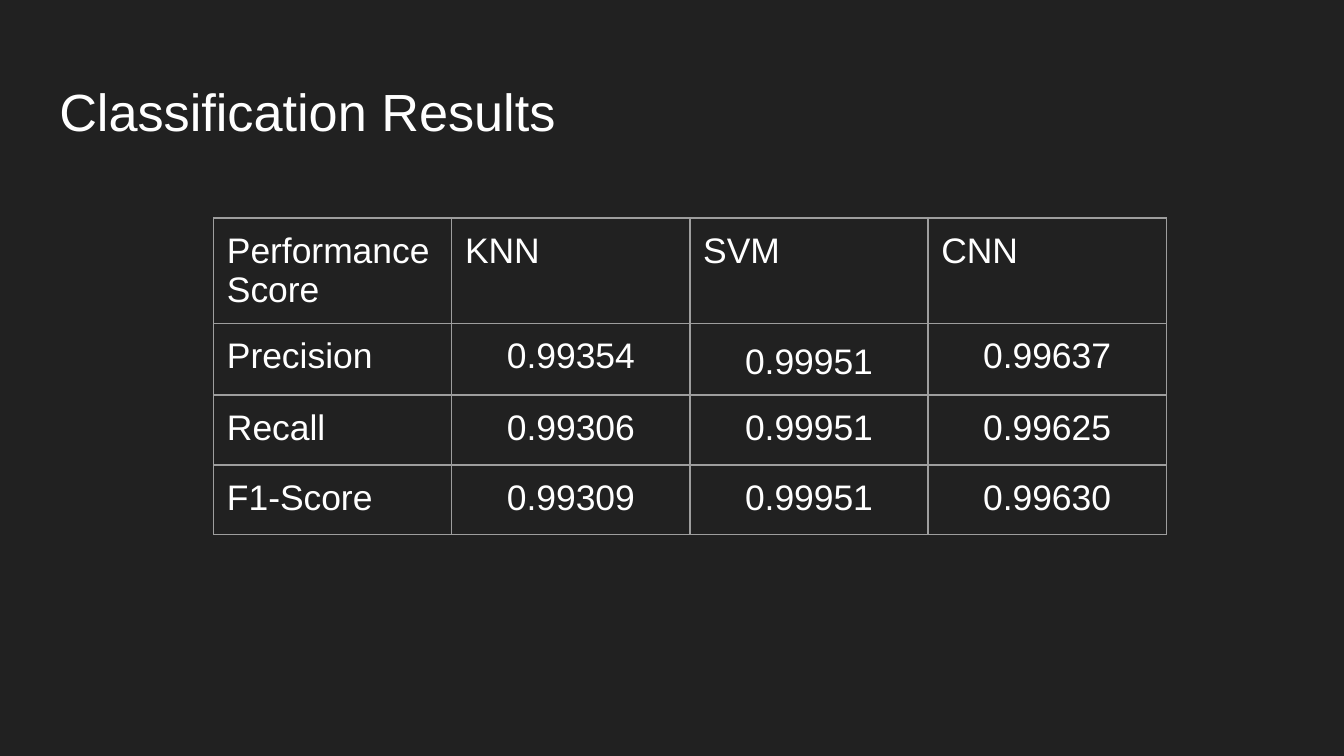
from dataclasses import dataclass

from lxml import etree
from pptx import Presentation
from pptx.dml.color import RGBColor
from pptx.enum.text import MSO_ANCHOR, MSO_AUTO_SIZE, PP_ALIGN
from pptx.oxml.ns import qn
from pptx.util import Cm, Pt

LEFT, CENTER = PP_ALIGN.LEFT, PP_ALIGN.CENTER
TOP = MSO_ANCHOR.TOP
NO_AUTOFIT = MSO_AUTO_SIZE.NONE
TITLE_ONLY = 5


@dataclass(frozen=True)
class Theme:
    background: str = "212121"
    text: str = "FFFFFF"
    border: str = "9E9E9E"
    font: str = "Arial"
    title_size: float = 28
    table_size: float = 19
    border_width: float = 0.75
    inset: float = 0.25


THEME = Theme()
SCORES = [
    ["Performance Score", "KNN", "SVM", "CNN"],
    ["Precision", "0.99354", "0.99951", "0.99637"],
    ["Recall", "0.99306", "0.99951", "0.99625"],
    ["F1-Score", "0.99309", "0.99951", "0.99630"],
]
SPACED_SCORE = (1, 2)
COLUMN_WIDTH = 4.5
HEADER_HEIGHT, SCORE_HEIGHT = 1.68, 1.32


def write(frame, text, size, align=LEFT, line_spacing=1.0):
    paragraph = frame.paragraphs[0]
    paragraph.alignment = align
    paragraph.line_spacing = line_spacing
    run = paragraph.add_run()
    run.text = text
    run.font.name = THEME.font
    run.font.size = Pt(size)
    run.font.color.rgb = RGBColor.from_string(THEME.text)


def set_insets(box):
    box.margin_left = box.margin_right = Cm(THEME.inset)
    box.margin_top = box.margin_bottom = Cm(THEME.inset)
    box.vertical_anchor = TOP


def add_borders(cell):
    properties = cell._tc.get_or_add_tcPr()
    for side in ("a:lnL", "a:lnR", "a:lnT", "a:lnB"):
        line = etree.SubElement(properties, qn(side), w=str(Pt(THEME.border_width)))
        fill = etree.SubElement(line, qn("a:solidFill"))
        etree.SubElement(fill, qn("a:srgbClr"), val=THEME.border)


def add_title(slide, text):
    title = slide.shapes.title
    title.left, title.top = Cm(0.87), Cm(1.24)
    title.width, title.height = Cm(23.67), Cm(1.6)
    frame = title.text_frame
    frame.auto_size = NO_AUTOFIT
    frame.word_wrap = True
    set_insets(frame)
    write(frame, text, THEME.title_size)


def add_score_table(slide, scores):
    rows, columns = len(scores), len(scores[0])
    height = HEADER_HEIGHT + SCORE_HEIGHT * (rows - 1)
    table = slide.shapes.add_table(
        rows, columns, Cm(4.04), Cm(4.12), Cm(COLUMN_WIDTH * columns), Cm(height)
    ).table
    table.first_row = False
    table.horz_banding = False
    for column in table.columns:
        column.width = Cm(COLUMN_WIDTH)
    for r, row_scores in enumerate(scores):
        table.rows[r].height = Cm(SCORE_HEIGHT if r else HEADER_HEIGHT)
        for c, text in enumerate(row_scores):
            cell = table.cell(r, c)
            set_insets(cell)
            add_borders(cell)
            cell.fill.background()
            write(
                cell.text_frame,
                text,
                THEME.table_size,
                align=CENTER if r and c else LEFT,
                line_spacing=1.15 if (r, c) == SPACED_SCORE else 1.0,
            )


def main():
    deck = Presentation()
    deck.slide_width, deck.slide_height = Cm(25.4), Cm(14.29)
    slide = deck.slides.add_slide(deck.slide_layouts[TITLE_ONLY])
    backdrop = slide.background.fill
    backdrop.solid()
    backdrop.fore_color.rgb = RGBColor.from_string(THEME.background)
    add_title(slide, "Classification Results")
    add_score_table(slide, SCORES)
    deck.save("out.pptx")


if __name__ == "__main__":
    main()
